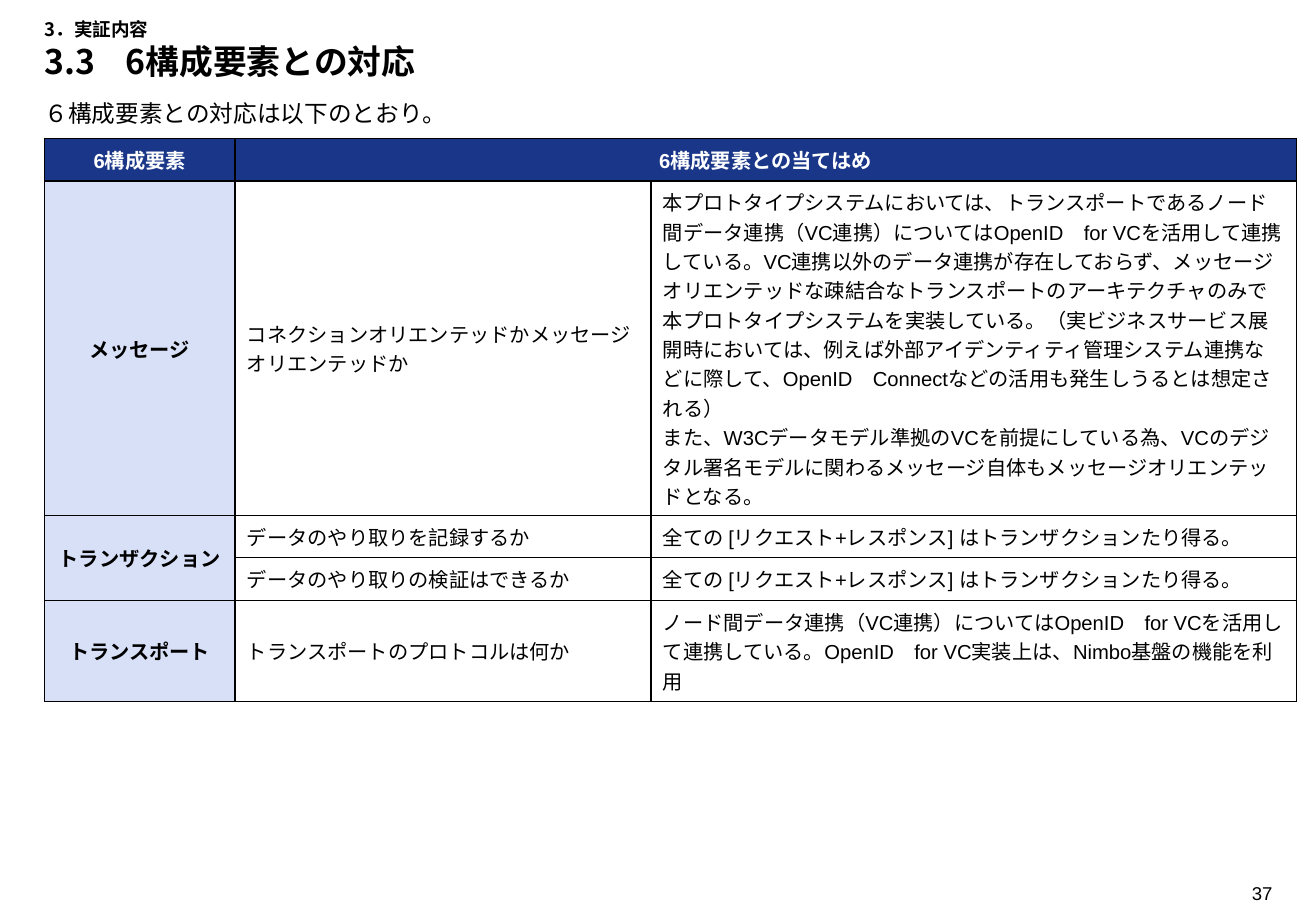
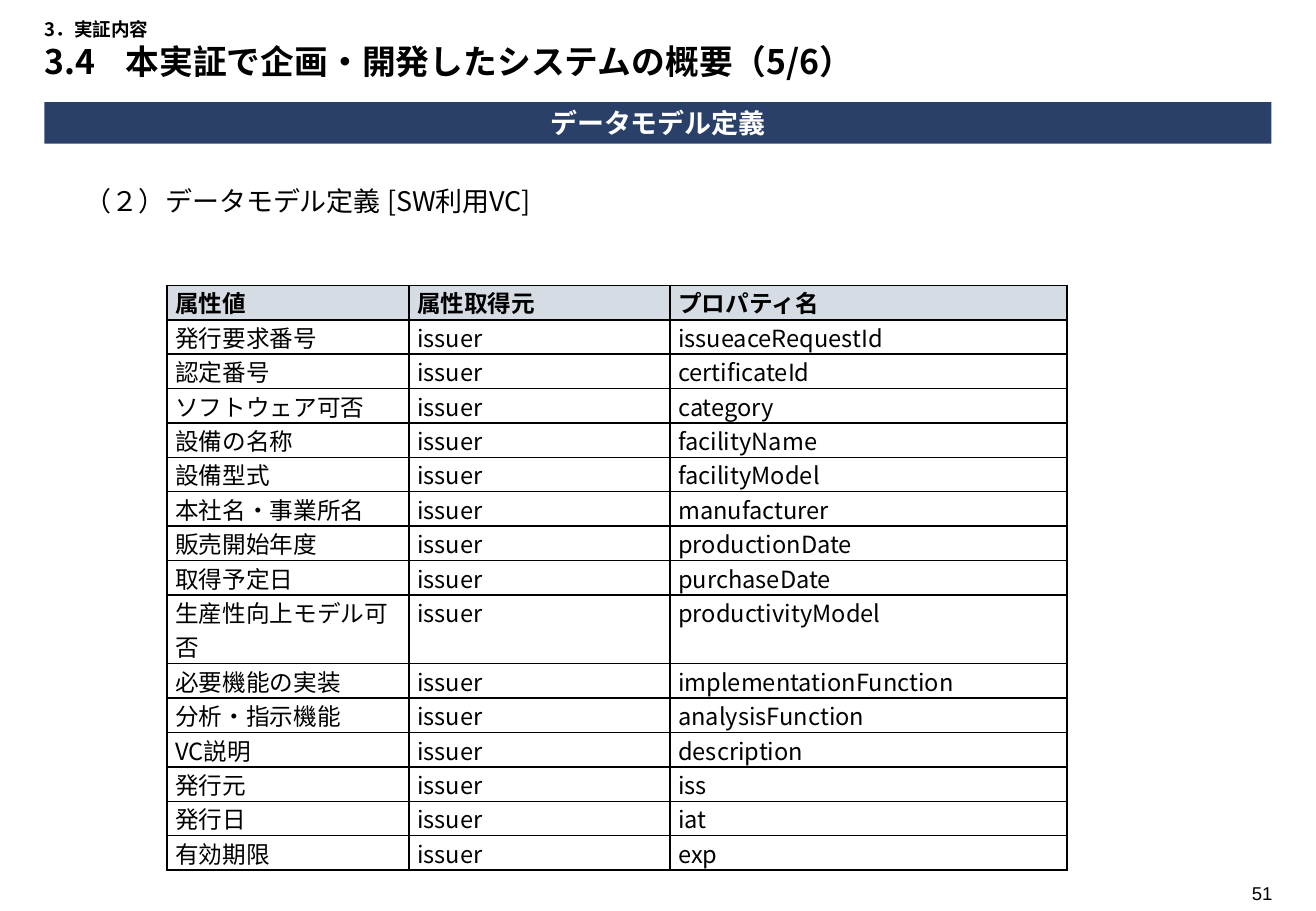
from copy import deepcopy
from dataclasses import dataclass
from typing import Optional

from lxml import etree
from pptx import Presentation
from pptx.dml.color import RGBColor
from pptx.enum.shapes import MSO_SHAPE as Shape
from pptx.enum.text import MSO_ANCHOR as Anchor, MSO_AUTO_SIZE as AutoSize, PP_ALIGN as Align
from pptx.oxml import parse_xml
from pptx.oxml.ns import nsdecls, qn
from pptx.util import Emu, Pt

# Shared look: 120 px to the inch
EMU_PER_PX = 7620
SLIDE_WIDTH, SLIDE_HEIGHT = 1300, 900
LEFT, CONTENT_WIDTH = 44, 1212
TITLE_ONLY = 5
TITLE_TAB = 80

BLACK = RGBColor(0x00, 0x00, 0x00)
WHITE = RGBColor(0xFF, 0xFF, 0xFF)
HEADER_BLUE = RGBColor(0x19, 0x36, 0x88)
LABEL_BLUE = RGBColor(0xD8, 0xE0, 0xF8)
BAND_NAVY = RGBColor(0x2B, 0x40, 0x69)
HEADER_GREY = RGBColor(0xD5, 0xDC, 0xE4)

ARIAL = "Arial"
NOTO = "Noto Sans CJK JP"
SECTION = "3．実証内容"


@dataclass(frozen=True)
class TextStyle:
    size: int
    font: str = NOTO
    color: RGBColor = BLACK
    bold: bool = False
    align: Align = Align.LEFT


@dataclass(frozen=True)
class Box:
    left: int
    top: int
    width: int
    height: int

    def emu(self) -> tuple:
        return tuple(px(n) for n in (self.left, self.top, self.width, self.height))


@dataclass(frozen=True)
class CellStyle:
    text: TextStyle
    fill: Optional[RGBColor] = None


@dataclass(frozen=True)
class TableLayout:
    left: int
    top: int
    columns: tuple
    rows: tuple
    margins: tuple  # horizontal, vertical
    anchor: Anchor


SECTION_STYLE = TextStyle(11, bold=True)
TITLE_STYLE = TextStyle(20, bold=True)
PAGE_STYLE = TextStyle(11, ARIAL, align=Align.RIGHT)

# Component table
COMPONENT_HEADER = CellStyle(TextStyle(12, ARIAL, WHITE, True, Align.CENTER), HEADER_BLUE)
COMPONENT_LABEL = CellStyle(TextStyle(12, ARIAL, BLACK, True, Align.CENTER), LABEL_BLUE)
COMPONENT_BODY = CellStyle(TextStyle(12, ARIAL))
COMPONENT_LAYOUT = TableLayout(LEFT, 137, (188, 411, 638), (42, 330, 42, 42, 100), (12, 6), Anchor.MIDDLE)
COMPONENT_MERGES = (((0, 1), (0, 2)), ((2, 0), (3, 0)))
TRANSACTION_ANSWER = "全ての [リクエスト+レスポンス] はトランザクションたり得る。"
COMPONENT_ROWS = (
    ("6構成要素", "6構成要素との当てはめ", None),
    (
        "メッセージ",
        "コネクションオリエンテッドかメッセージオリエンテッドか",
        "本プロトタイプシステムにおいては、トランスポートであるノード間データ連携（VC連携）については"
        "OpenID　for VCを活用して連携している。VC連携以外のデータ連携が存在しておらず、"
        "メッセージオリエンテッドな疎結合なトランスポートのアーキテクチャのみで本プロトタイプシステムを"
        "実装している。（実ビジネスサービス展開時においては、例えば外部アイデンティティ管理システム連携"
        "などに際して、OpenID　Connectなどの活用も発生しうるとは想定される）\n"
        "また、W3Cデータモデル準拠のVCを前提にしている為、VCのデジタル署名モデルに関わる"
        "メッセージ自体もメッセージオリエンテッドとなる。",
    ),
    ("トランザクション", "データのやり取りを記録するか", TRANSACTION_ANSWER),
    (None, "データのやり取りの検証はできるか", TRANSACTION_ANSWER),
    (
        "トランスポート",
        "トランスポートのプロトコルは何か",
        "ノード間データ連携（VC連携）についてはOpenID　for VCを活用して連携している。"
        "OpenID　for VC実装上は、Nimbo基盤の機能を利用",
    ),
)

# Attribute table
ATTRIBUTE_HEADER = CellStyle(TextStyle(14, bold=True), HEADER_GREY)
ATTRIBUTE_BODY = CellStyle(TextStyle(14))
ATTRIBUTE_SOURCE = "issuer"
ATTRIBUTE_LINE = 34
WRAPPED_LABEL = "生産性向上モデル可否"
ATTRIBUTES = (
    ("発行要求番号", "issueaceRequestId"),
    ("認定番号", "certificateId"),
    ("ソフトウェア可否", "category"),
    ("設備の名称", "facilityName"),
    ("設備型式", "facilityModel"),
    ("本社名・事業所名", "manufacturer"),
    ("販売開始年度", "productionDate"),
    ("取得予定日", "purchaseDate"),
    (WRAPPED_LABEL, "productivityModel"),
    ("必要機能の実装", "implementationFunction"),
    ("分析・指示機能", "analysisFunction"),
    ("VC説明", "description"),
    ("発行元", "iss"),
    ("発行日", "iat"),
    ("有効期限", "exp"),
)
ATTRIBUTE_ROWS = (
    ("属性値", "属性取得元", "プロパティ名"),
    *((label, ATTRIBUTE_SOURCE, name) for label, name in ATTRIBUTES),
)
ATTRIBUTE_LAYOUT = TableLayout(
    165, 282, (239, 258, 392),
    tuple(ATTRIBUTE_LINE * (2 if row[0] == WRAPPED_LABEL else 1) for row in ATTRIBUTE_ROWS),
    (8, 0), Anchor.TOP,
)


def px(length: int) -> Emu:
    return Emu(length * EMU_PER_PX)


# Text helpers
def format_run(run, style: TextStyle) -> None:
    run.font.size = Pt(style.size)
    run.font.bold = style.bold
    run.font.color.rgb = style.color
    run.font.name = style.font
    east_asian = etree.SubElement(run._r.get_or_add_rPr(), qn("a:ea"))
    east_asian.set("typeface", NOTO)


def set_text(text_frame, text: str, style: TextStyle) -> None:
    text_frame.text = text
    for paragraph in text_frame.paragraphs:
        paragraph.alignment = style.align
        for run in paragraph.runs:
            format_run(run, style)


def set_margins(target, horizontal: int, vertical: int) -> None:
    target.margin_left = target.margin_right = px(horizontal)
    target.margin_top = target.margin_bottom = px(vertical)


def add_text(slide, box: Box, text: str, style: TextStyle, horizontal: int = 0) -> None:
    text_frame = slide.shapes.add_textbox(*box.emu()).text_frame
    text_frame.word_wrap = True
    set_margins(text_frame, horizontal, 6)
    set_text(text_frame, text, style)


# Slide frame: title with section line, page number
def add_slide(presentation, number: str, heading: str, page: int):
    slide = presentation.slides.add_slide(presentation.slide_layouts[TITLE_ONLY])
    title = slide.shapes.title
    title.left, title.top, title.width, title.height = Box(LEFT, 12, CONTENT_WIDTH, 54).emu()
    text_frame = title.text_frame
    text_frame.auto_size = AutoSize.NONE
    text_frame.vertical_anchor = Anchor.TOP
    set_margins(text_frame, 0, 6)

    paragraph = text_frame.paragraphs[0]
    paragraph.text = f"{SECTION}\v{number}\t{heading}"
    properties = paragraph._p.get_or_add_pPr()
    tabs = etree.SubElement(properties, qn("a:tabLst"))
    etree.SubElement(tabs, qn("a:tab"), pos=str(px(TITLE_TAB)), algn="l")
    paragraph.alignment = Align.LEFT
    section_run, heading_run = paragraph.runs
    format_run(section_run, SECTION_STYLE)
    format_run(heading_run, TITLE_STYLE)
    line_break = paragraph._p.find(qn("a:br"))
    line_break.append(deepcopy(section_run._r.get_or_add_rPr()))

    add_text(slide, Box(1200, 865, 57, 35), str(page), PAGE_STYLE)
    return slide


def add_band(slide, box: Box, text: str) -> None:
    band = slide.shapes.add_shape(Shape.RECTANGLE, *box.emu())
    band.shadow.inherit = False
    band.fill.solid()
    band.fill.fore_color.rgb = BAND_NAVY
    band.line.fill.background()
    band.text_frame.vertical_anchor = Anchor.MIDDLE
    set_margins(band.text_frame, 5, 5)
    set_text(band.text_frame, text, TextStyle(16, ARIAL, WHITE, True, Align.CENTER))


# Tables
def add_borders(cell) -> None:
    properties = cell._tc.get_or_add_tcPr()
    for side in ("lnL", "lnR", "lnT", "lnB"):
        properties.append(parse_xml(
            f'<a:{side} {nsdecls("a")} w="{Pt(1)}"><a:solidFill>'
            f'<a:srgbClr val="{BLACK}"/></a:solidFill></a:{side}>'
        ))


def format_cell(cell, text: Optional[str], style: CellStyle, layout: TableLayout) -> None:
    add_borders(cell)
    if style.fill is None:
        cell.fill.background()
    else:
        cell.fill.solid()
        cell.fill.fore_color.rgb = style.fill
    set_margins(cell, *layout.margins)
    cell.vertical_anchor = layout.anchor
    if text is not None:
        set_text(cell.text_frame, text, style.text)


def add_table(slide, layout: TableLayout, rows: tuple, header: CellStyle,
              label: CellStyle, body: CellStyle, merges: tuple = ()) -> None:
    box = Box(layout.left, layout.top, sum(layout.columns), sum(layout.rows))
    table = slide.shapes.add_table(len(rows), len(layout.columns), *box.emu()).table
    table.horz_banding = False
    for column, width in zip(table.columns, layout.columns):
        column.width = px(width)
    for row, height in zip(table.rows, layout.rows):
        row.height = px(height)
    for start, end in merges:
        table.cell(*start).merge(table.cell(*end))
    for row_index, row_texts in enumerate(rows):
        for column_index, text in enumerate(row_texts):
            style = header if row_index == 0 else label if column_index == 0 else body
            format_cell(table.cell(row_index, column_index), text, style, layout)


# Slides
def add_component_slide(presentation) -> None:
    slide = add_slide(presentation, "3.3", "6構成要素との対応", 37)
    add_table(slide, COMPONENT_LAYOUT, COMPONENT_ROWS, COMPONENT_HEADER,
              COMPONENT_LABEL, COMPONENT_BODY, COMPONENT_MERGES)
    add_text(slide, Box(LEFT, 92, CONTENT_WIDTH, 41),
             "６構成要素との対応は以下のとおり。", TextStyle(14))


def add_data_model_slide(presentation) -> None:
    slide = add_slide(presentation, "3.4", "本実証で企画・開発したシステムの概要（5/6）", 51)
    add_band(slide, Box(LEFT, 101, CONTENT_WIDTH, 41), "データモデル定義")
    add_table(slide, ATTRIBUTE_LAYOUT, ATTRIBUTE_ROWS, ATTRIBUTE_HEADER,
              ATTRIBUTE_BODY, ATTRIBUTE_BODY)
    add_text(slide, Box(72, 176, 650, 44),
             "（２）データモデル定義 [SW利用VC]", TextStyle(16), horizontal=12)


def main() -> None:
    presentation = Presentation()
    presentation.slide_width = px(SLIDE_WIDTH)
    presentation.slide_height = px(SLIDE_HEIGHT)
    add_component_slide(presentation)
    add_data_model_slide(presentation)
    presentation.save("out.pptx")


if __name__ == "__main__":
    main()
